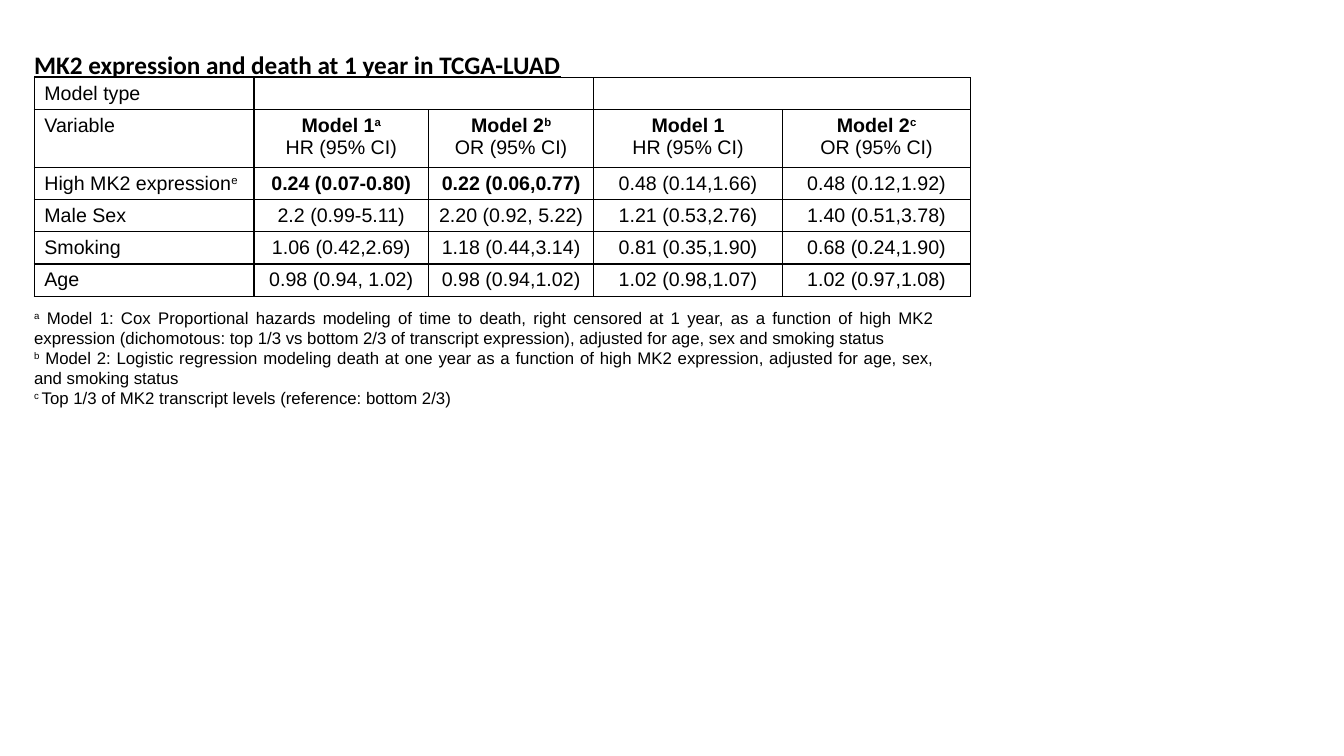
"""Build the slide on MK2 expression and one-year death."""
from pptx import Presentation
from pptx.dml.color import RGBColor
from pptx.enum import text as t
from pptx.oxml import parse_xml
from pptx.oxml.ns import nsdecls
from pptx.util import Inches, Pt

TITLE = "MK2 expression and death at 1 year in TCGA-LUAD"
ROWS = [
    ["Model type", "", "", "", ""],
    ["Variable", "*Model 1^a^\nHR (95% CI)", "*Model 2^b^\nOR (95% CI)",
     "*Model 1\nHR (95% CI)", "*Model 2^c^\nOR (95% CI)"],
    ["High MK2 expression^e^", "*0.24 (0.07-0.80)", "*0.22 (0.06,0.77)",
     "0.48 (0.14,1.66)", "0.48 (0.12,1.92)"],
    ["Male Sex", "2.2 (0.99-5.11)", "2.20 (0.92, 5.22)",
     "1.21 (0.53,2.76)", "1.40 (0.51,3.78)"],
    ["Smoking", "1.06 (0.42,2.69)", "1.18 (0.44,3.14)",
     "0.81 (0.35,1.90)", "0.68 (0.24,1.90)"],
    ["Age", "0.98 (0.94, 1.02)", "0.98 (0.94,1.02)",
     "1.02 (0.98,1.07)", "1.02 (0.97,1.08)"],
]
NOTES = """^a^ Model 1: Cox Proportional hazards modeling of time to death, \
right censored at 1 year, as a function of high MK2 expression (dichomotous: \
top 1/3 vs bottom 2/3 of transcript expression), adjusted for age, sex and \
smoking status
^b^ Model 2: Logistic regression modeling death at one year as a function of \
high MK2 expression, adjusted for age, sex, and smoking status
^c ^Top 1/3 of MK2 transcript levels (reference: bottom 2/3)"""

THEME = {
    "ink": "000000", "rule": Pt(1),
    "title": ("Calibri", 18), "cell": ("Arial", 14), "note": ("Arial", 12),
}
WIDTHS = [2.18, 1.73, 1.64, 1.87, 1.87]
HEIGHTS = [0.32, 0.57] + [0.32] * 4
ALIGN = t.PP_ALIGN


def write(frame, copy, style, align=ALIGN.LEFT):
    """Fill a frame; * marks a bold line and ^ encloses superscript."""
    face, size = THEME[style]
    for i, line in enumerate(copy.split("\n")):
        para = frame.paragraphs[0] if i == 0 else frame.add_paragraph()
        para.alignment = align
        font = para.font
        font.name, font.size = face, Pt(size)
        font.bold = line.startswith("*")
        font.color.rgb = RGBColor.from_string(THEME["ink"])
        for j, part in enumerate(line.lstrip("*").split("^")):
            if part:
                run = para.add_run()
                run.text = part
                if j % 2:
                    run.font._element.set("baseline", "30000")
        if not line:
            end = f'<a:endParaRPr {nsdecls("a")} sz="{size * 100}"/>'
            para._p.append(parse_xml(end))


def edge(cell):
    """Draw the four borders of a cell."""
    props = cell._tc.get_or_add_tcPr()
    for i, side in enumerate(("lnL", "lnR", "lnT", "lnB")):
        props.insert(i, parse_xml(
            f'<a:{side} {nsdecls("a")} w="{THEME["rule"]}"><a:solidFill>'
            f'<a:srgbClr val="{THEME["ink"]}"/></a:solidFill></a:{side}>'))


def label(slide, box, copy, style, align=ALIGN.LEFT):
    """Add a wrapped text box."""
    frame = slide.shapes.add_textbox(*map(Inches, box)).text_frame
    frame.word_wrap = True
    write(frame, copy, style, align)
    return frame


deck = Presentation()
deck.slide_width, deck.slide_height = Inches(13.33), Inches(7.5)
slide = deck.slides.add_slide(deck.slide_layouts[6])

box = map(Inches, (0.34, 0.77, sum(WIDTHS), sum(HEIGHTS)))
table = slide.shapes.add_table(len(ROWS), len(WIDTHS), *box).table
table.first_row = table.horz_banding = False
for col, width in zip(table.columns, WIDTHS):
    col.width = Inches(width)
for row, height, texts in zip(table.rows, HEIGHTS, ROWS):
    row.height = Inches(height)
    for i, (cell, copy) in enumerate(zip(row.cells, texts)):
        cell.fill.background()
        edge(cell)
        write(cell.text_frame, copy, "cell", ALIGN.CENTER if i else ALIGN.LEFT)
for left in (1, 3):
    table.cell(0, left).merge(table.cell(0, left + 1))

head = label(slide, (0.24, 0.44, 5.79, 0.4), "*" + TITLE, "title")
head.paragraphs[0].font.underline = True
label(slide, (0.24, 3, 9.13, 1.25), NOTES, "note", ALIGN.JUSTIFY)

deck.save("out.pptx")
